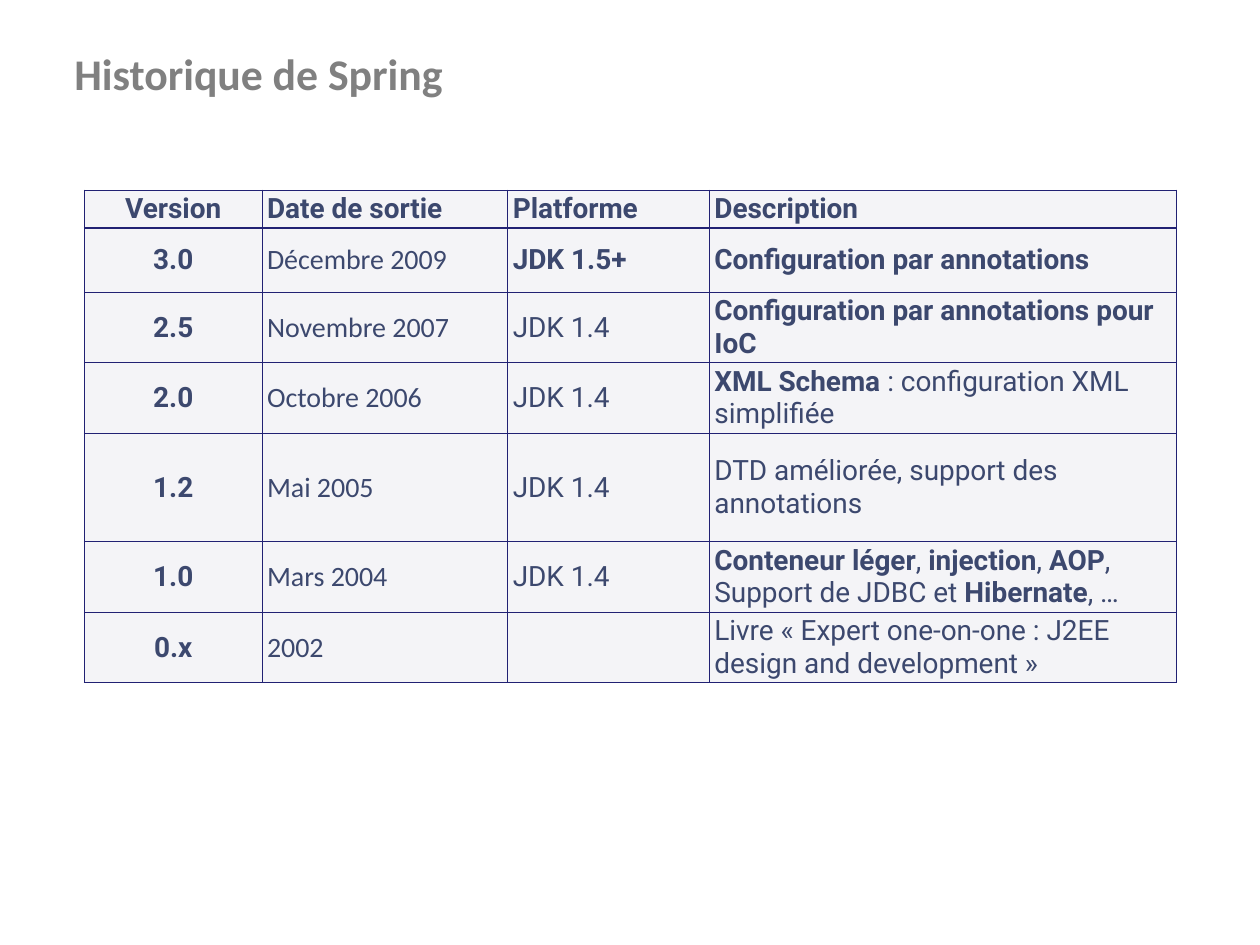
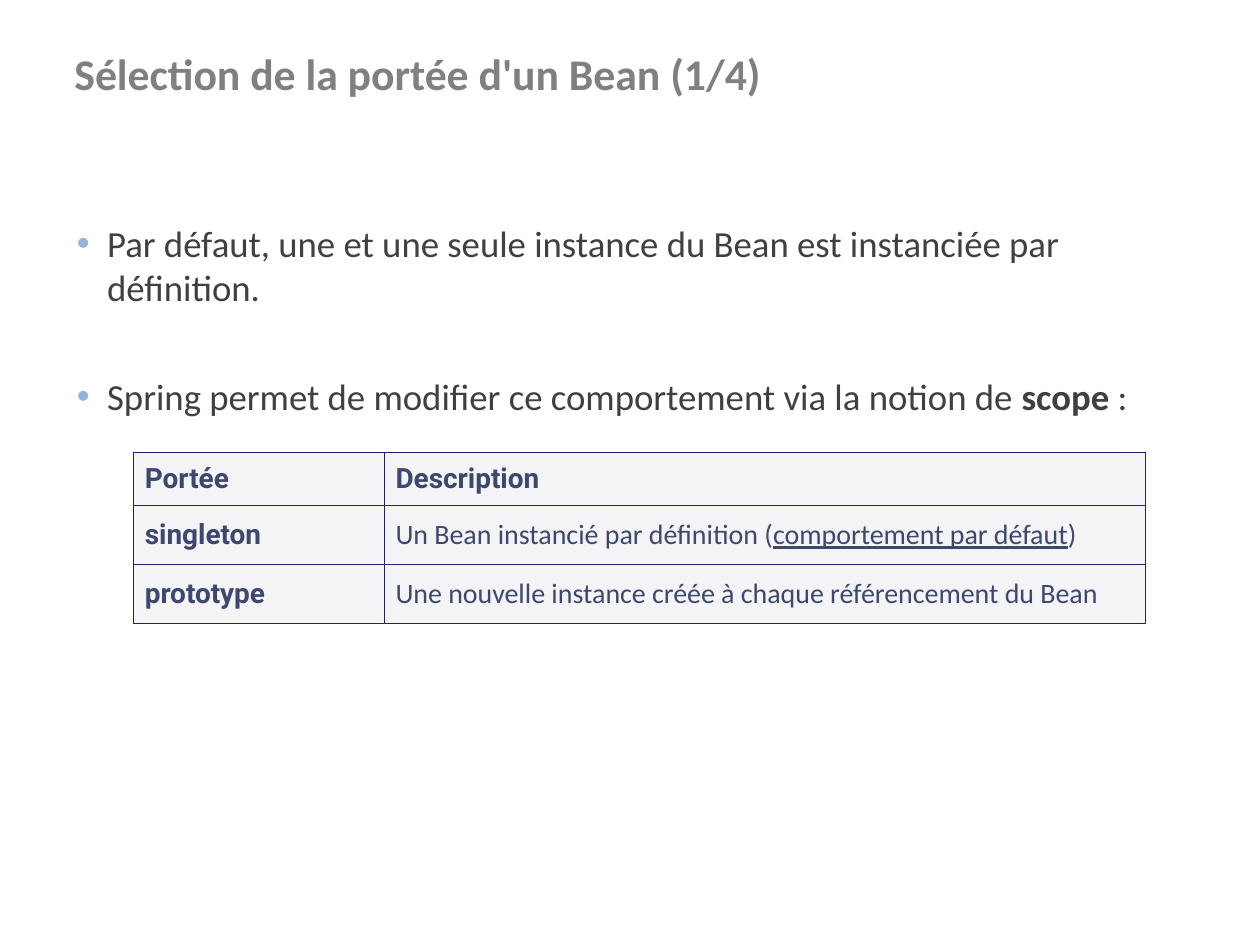
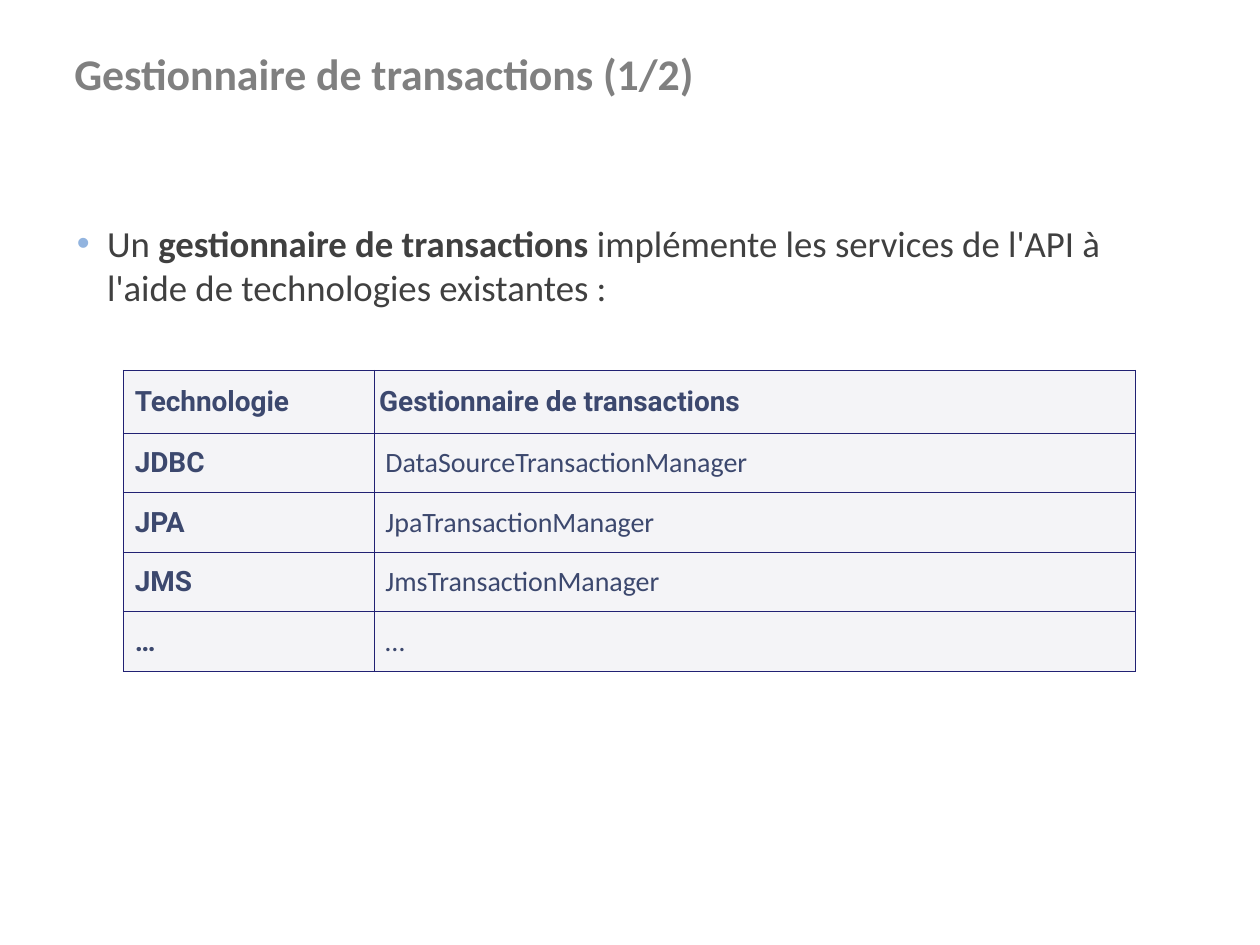
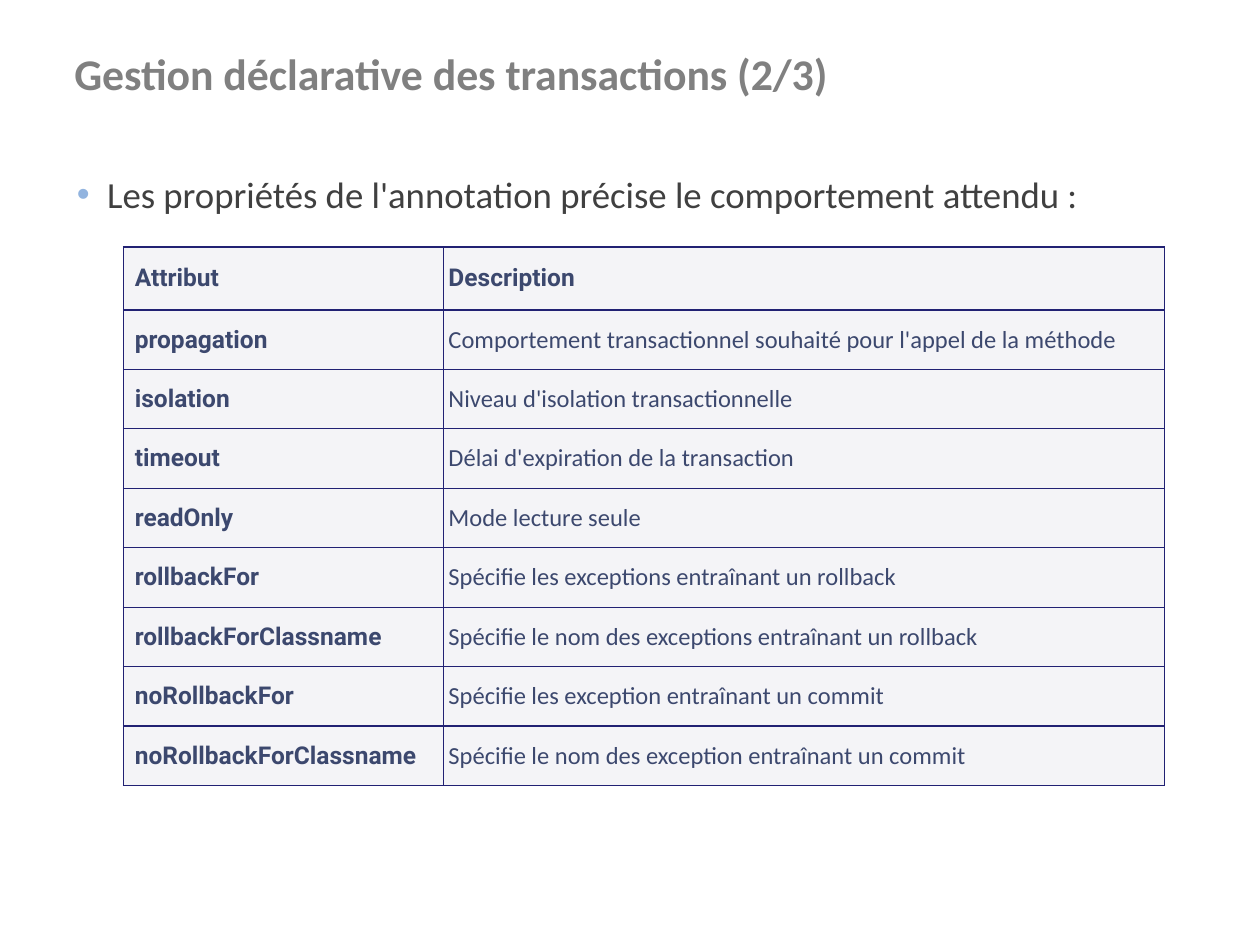
from dataclasses import dataclass
from lxml.etree import SubElement as Sub
from pptx import Presentation
from pptx.dml.color import RGBColor as Rgb
from pptx.enum.text import MSO_ANCHOR as Anchor, PP_ALIGN as Align, MSO_AUTO_SIZE as Fit
from pptx.oxml.ns import qn
from pptx.util import Inches, Pt

WIDE, HIGH = Inches(10), Inches(7.5)
COL, ROW = WIDE / 100, HIGH / 75


@dataclass(frozen=True)
class Theme:
    """Colours, fonts and sizes that the slides share."""
    sans: str = "Calibri"
    strong: str = "Roboto"
    title: str = "808080"
    body: str = "404040"
    bullet: str = "92B4DF"
    cell: str = "3C486E"
    fill: str = "F4F4F7"
    rule: str = "212173"
    big: float = 25
    mid: float = 21
    small: float = 16
    tiny: float = 14
    line: float = 0.75
    gap: float = 37


T = Theme()


def cols(num):
    """Turn grid columns into a length."""
    return round(num * COL)


def rows(num):
    """Turn grid rows into a length."""
    return round(num * ROW)


def place(shape, left, top, width, height):
    """Put a shape on the grid."""
    shape.left, shape.top = cols(left), rows(top)
    shape.width, shape.height = cols(width), rows(height)


def write(par, text, font=T.sans, size=T.small, color=T.cell, bold=False, align=Align.LEFT):
    """Fill a paragraph, with *bold* and _underlined_ parts."""
    par.alignment = align
    for i, part in enumerate(text.split("*")):
        for j, piece in enumerate(part.split("_")):
            if piece:
                run = par.add_run()
                run.text = piece
                run.font.name, run.font.size = font, Pt(size)
                run.font.color.rgb = Rgb.from_string(color)
                run.font.bold = bold or i % 2 == 1
                run.font.underline = j % 2 == 1


def frame(shape):
    """Prepare the text frame of a placeholder."""
    text = shape.text_frame
    text.word_wrap, text.auto_size = True, Fit.NONE
    text.vertical_anchor = Anchor.TOP
    return text


def page(deck, layout, title):
    """Add a slide with its title."""
    slide = deck.slides.add_slide(deck.slide_layouts[layout])
    head = slide.shapes.title
    place(head, 4.9, 3.2, 90.1, 6.4)
    write(frame(head).paragraphs[0], title, size=T.big, color=T.title, bold=True)
    return slide


def dot(par):
    """Give a paragraph its hanging bullet."""
    props = par._p.get_or_add_pPr()
    props.set("marL", str(cols(2.4)))
    props.set("indent", str(-cols(2.4)))
    Sub(Sub(props, qn("a:buClr")), qn("a:srgbClr"), val=T.bullet)
    Sub(props, qn("a:buChar"), char="•")


def bullets(slide, top, height, items):
    """Write the bulleted list of a slide."""
    body = slide.placeholders[1]
    place(body, 5.1, top, 90, height)
    text = frame(body)
    for i, item in enumerate(items):
        par = text.add_paragraph() if i else text.paragraphs[0]
        dot(par)
        par.space_before = Pt(T.gap if i else 0)
        write(par, item, size=T.mid, color=T.body)


def border(cell):
    """Rule the four sides of a cell."""
    props = cell._tc.get_or_add_tcPr()
    for side in "LRTB":
        line = Sub(props, qn(f"a:ln{side}"), w=str(Pt(T.line)))
        Sub(Sub(line, qn("a:solidFill")), qn("a:srgbClr"), val=T.rule)


def style(cell, pad):
    """Set the border, fill and margins of a cell."""
    border(cell)
    cell.fill.solid()
    cell.fill.fore_color.rgb = Rgb.from_string(T.fill)
    cell.vertical_anchor = Anchor.MIDDLE
    cell.margin_left, cell.margin_right = cols(pad), cols(0.4)
    cell.margin_top = cell.margin_bottom = rows(0.2)


def grid(slide, left, top, widths, heights, data, pads, head=None, fonts=(T.strong, T.sans),
         size=T.small, first=Align.LEFT):
    """Draw a table with a bold first row and column."""
    shape = slide.shapes.add_table(len(data), len(widths), cols(left), rows(top),
                                   cols(sum(widths)), rows(sum(heights)))
    table = shape.table
    table.first_row = table.horz_banding = False
    for col, width in zip(table.columns, widths):
        col.width = cols(width)
    for row, height in zip(table.rows, heights):
        row.height = rows(height)
    for r, line in enumerate(data):
        for c, text in enumerate(line):
            cell = table.cell(r, c)
            style(cell, (pads if r else head or pads)[c])
            write(cell.text_frame.paragraphs[0], text, size=size,
                  font=fonts[c] if r else T.strong, bold=r == 0 or c == 0,
                  align=Align.LEFT if c else first)


def history(deck):
    """Show the versions of Spring."""
    slide = page(deck, 5, "Historique de Spring")
    data = [
        ("Version", "Date de sortie", "Platforme", "Description"),
        ("3.0", "Décembre 2009", "*JDK 1.5+*", "*Configuration par annotations*"),
        ("2.5", "Novembre 2007", "JDK 1.4", "*Configuration par annotations pour IoC*"),
        ("2.0", "Octobre 2006", "JDK 1.4", "*XML Schema *: configuration XML simplifiée"),
        ("1.2", "Mai 2005", "JDK 1.4", "DTD améliorée, support des annotations"),
        ("1.0", "Mars 2004", "JDK 1.4",
         "*Conteneur léger*, *injection*, *AOP*, Support de JDBC et *Hibernate*, …"),
        ("0.x", "2002", "", "Livre « Expert one-on-one : J2EE design and development »"),
    ]
    grid(slide, 6.7, 15.1, (14.1, 19.5, 16, 37.1), (3, 5.1, 5.6, 5.6, 8.6, 5.6, 5.6), data,
         pads=(0.4,) * 4, fonts=(T.strong, T.sans, T.strong, T.strong), first=Align.CENTER)


def scope(deck):
    """Show the scopes of a bean."""
    slide = page(deck, 1, "Sélection de la portée d'un Bean (1/4)")
    bullets(slide, 17, 48.8, [
        "Par défaut, une et une seule instance du Bean est instanciée par définition.",
        "Spring permet de modifier ce comportement via la notion de *scope *:",
    ])
    data = [
        ("Portée", "Description"),
        ("singleton", "Un Bean instancié par définition (_comportement par défaut_)"),
        ("prototype", "Une nouvelle instance créée à chaque référencement du Bean"),
    ]
    grid(slide, 10.6, 35.9, (19.9, 60.4), (4.2, 4.7, 4.7), data, pads=(0.9, 0.9))


def manager(deck):
    """Show the transaction managers."""
    slide = page(deck, 1, "Gestionnaire de transactions (1/2)")
    bullets(slide, 17, 44.9, [
        "Un *gestionnaire de transactions* implémente les services de l'API à l'aide de "
        "technologies existantes :",
    ])
    data = [
        ("Technologie", "Gestionnaire de transactions"),
        ("JDBC", "DataSourceTransactionManager"),
        ("JPA", "JpaTransactionManager"),
        ("JMS", "JmsTransactionManager"),
        ("…", "…"),
    ]
    grid(slide, 9.8, 29.4, (19.9, 60.4), (5,) + (4.72,) * 4, data, pads=(0.9, 0.9),
         head=(0.9, 0.4))


def rules(deck):
    """Show the attributes of the annotation."""
    slide = page(deck, 1, "Gestion déclarative des transactions (2/3)")
    bullets(slide, 13.1, 48.8, [
        "Les propriétés de l'annotation précise le comportement attendu :",
    ])
    data = [
        ("Attribut", "Description"),
        ("propagation", "Comportement transactionnel souhaité pour l'appel de la méthode"),
        ("isolation", "Niveau d'isolation transactionnelle"),
        ("timeout", "Délai d'expiration de la transaction"),
        ("readOnly", "Mode lecture seule"),
        ("rollbackFor", "Spécifie les exceptions entraînant un rollback"),
        ("rollbackForClassname", "Spécifie le nom des exceptions entraînant un rollback"),
        ("noRollbackFor", "Spécifie les exception entraînant un commit"),
        ("noRollbackForClassname", "Spécifie le nom des exception entraînant un commit"),
    ]
    grid(slide, 9.8, 19.6, (25.4, 57.2), (5,) + (4.72,) * 8, data, pads=(0.9, 0.4),
         size=T.tiny)


def main():
    """Build the deck and save it."""
    deck = Presentation()
    deck.slide_width, deck.slide_height = WIDE, HIGH
    for build in (history, scope, manager, rules):
        build(deck)
    deck.save("out.pptx")


if __name__ == "__main__":
    main()
